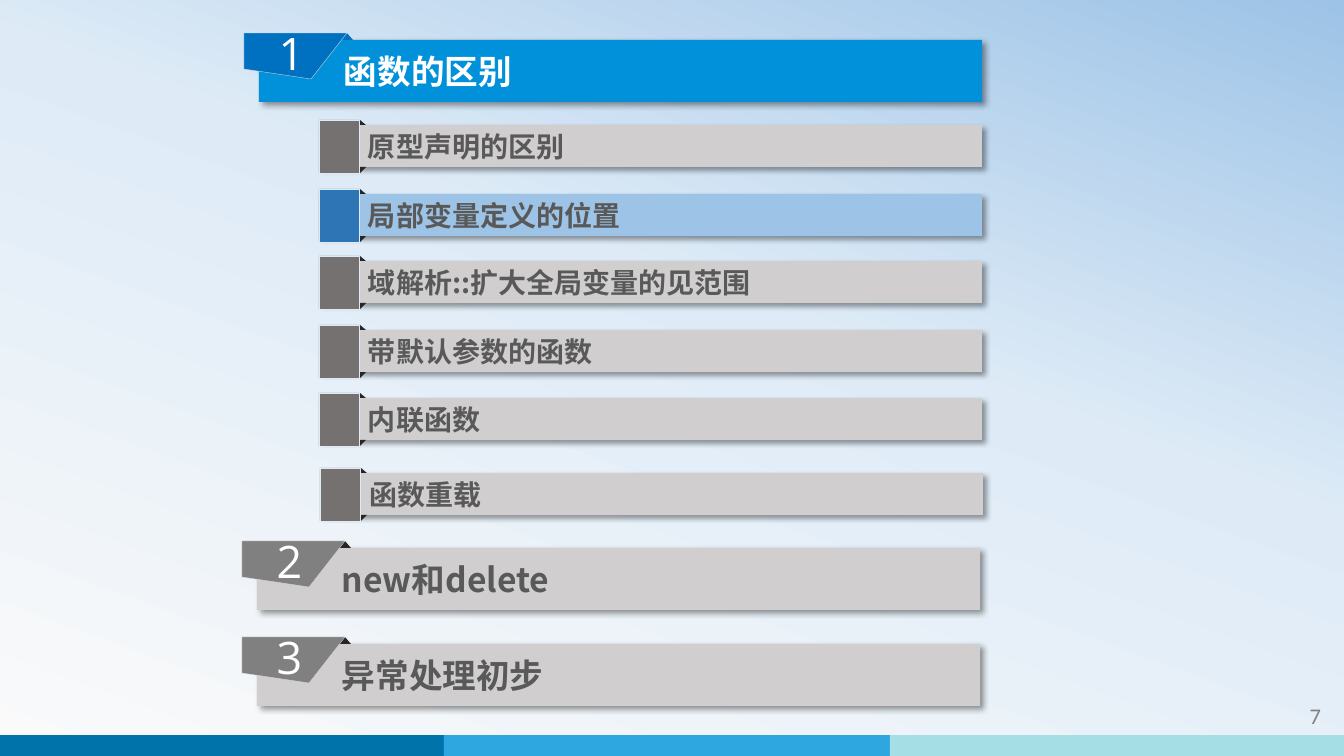
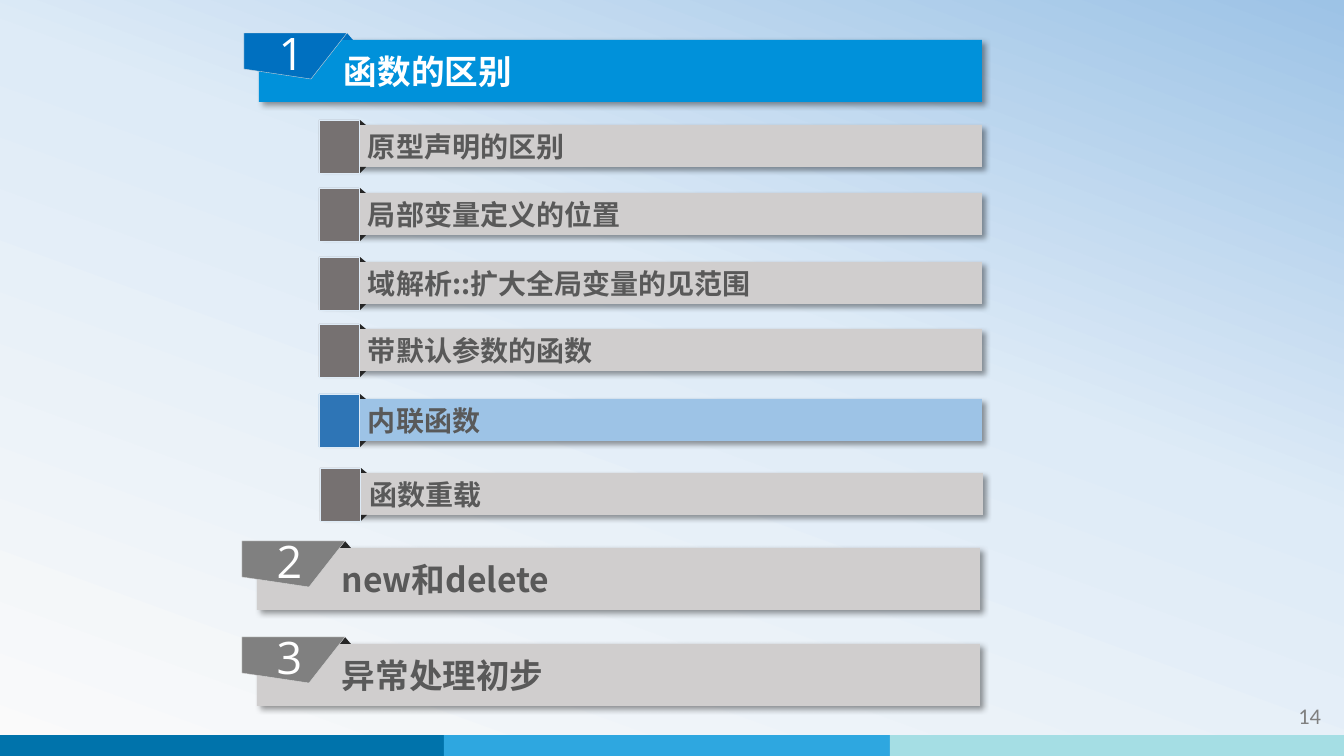
from copy import deepcopy

from lxml.etree import SubElement
from pptx import Presentation
from pptx.dml.color import RGBColor
from pptx.enum.shapes import MSO_SHAPE as SHAPE
from pptx.enum.text import MSO_ANCHOR as ANCHOR, PP_ALIGN as ALIGN
from pptx.oxml.ns import qn
from pptx.util import Pt

PX = 914400 / 100.8
WIDTH, HEIGHT = 1344, 756

# Shared style
CJK, NUMERAL, FOOTER = "Noto Sans CJK SC", "Open Sans", "Calibri"
WHITE, INK, FOLD, BAR_GRAY = "FFFFFF", "595959", "262626", "D0CECE"
BACKGROUND = [(0, "FAFAFA"), (0.58, "DEEBF7"), (1, "9DC3E6")]
BANDS = [(-3, "0073AB"), (444, "2EA7E0"), (890, "A5DEE4")]

# Bar, fold, tag and text colours of a chapter
CURRENT = ("0091DA", "0070C0", "0070C0", WHITE)
WAITING = (BAR_GRAY, FOLD, "808080", INK)
CHAPTERS = [
    (244, 33, "函数的区别", CURRENT),
    (242, 541, "new和delete", WAITING),
    (242, 637, "异常处理初步", WAITING),
]
TOPICS = ["原型声明的区别", "局部变量定义的位置", "域解析::扩大全局变量的见范围",
          "带默认参数的函数", "内联函数", "函数重载"]

# Page number, highlighted topic, top of each topic
AGENDAS = [
    (7, 1, [120, 189, 256, 325, 393, 468]),
    (14, 4, [120, 188, 257, 324, 394, 468]),
]


def px(length):
    return round(length * PX)


def rgb(code):
    return RGBColor.from_string(code)


def paint(shape, fill, line=None):
    shape.shadow.inherit = False
    shape.fill.solid()
    shape.fill.fore_color.rgb = rgb(fill)
    if line:
        shape.line.color.rgb = rgb(line)
        shape.line.width = Pt(0.25)
    else:
        shape.line.fill.background()
    return shape


def block(shapes, kind, x, y, w, h, fill, line=None):
    return paint(shapes.add_shape(kind, px(x), px(y), px(w), px(h)), fill, line)


def cast_shadow(shape):
    effects = shape.element.spPr.find(qn("a:effectLst"))
    shadow = SubElement(effects, qn("a:outerShdw"), blurRad="50800", dist="38100",
                        dir="2700000", algn="tl", rotWithShape="0")
    black = SubElement(shadow, qn("a:srgbClr"), val="000000")
    SubElement(black, qn("a:alpha"), val="40000")


def write(shape, text, font, size, color, align=ALIGN.LEFT, bold=False,
          insets=(10, 5, 10, 5), anchor=ANCHOR.MIDDLE):
    frame = shape.text_frame
    frame.word_wrap = True
    frame.vertical_anchor = anchor
    (frame.margin_left, frame.margin_top,
     frame.margin_right, frame.margin_bottom) = map(px, insets)
    paragraph = frame.paragraphs[0]
    paragraph.alignment = align
    run = paragraph.add_run()
    run.text = text
    run.font.name = font
    run.font.size = Pt(size)
    run.font.bold = bold
    run.font.color.rgb = rgb(color)
    SubElement(run.font._element, qn("a:ea"), typeface=font)


def title_bar(shapes, x, y, w, h, fill, text, size, color, indent):
    bar = block(shapes, SHAPE.RECTANGLE, x, y, w, h, fill)
    cast_shadow(bar)
    write(bar, text, CJK, size, color, bold=True, insets=(indent, 5, 10, 5))


def add_background(slide):
    fill = slide.background.fill
    fill.gradient()
    fill.gradient_angle = 70  # counter-clockwise
    stops = slide.element.find(".//" + qn("a:gsLst"))
    stops.append(deepcopy(stops[-1]))
    for stop, (position, color) in zip(fill.gradient_stops, BACKGROUND):
        stop.position = position
        stop.color.rgb = rgb(color)


def add_footer(slide, page):
    bands = slide.shapes.add_group_shape().shapes
    for x, color in BANDS:
        block(bands, SHAPE.RECTANGLE, x, 735, 454, 21, color)
    number = slide.shapes.add_textbox(px(1171), px(697), px(160), px(40))
    write(number, str(page), FOOTER, 16, "808080", ALIGN.RIGHT, anchor=ANCHOR.TOP)


def add_chapter(slide, x, y, number, title, colors):
    bar_fill, fold_fill, tag_fill, ink = colors
    shapes = slide.shapes.add_group_shape().shapes
    title_bar(shapes, x + 15, y + 7, 723, 62, bar_fill, title, 24, ink, 85)
    block(shapes, SHAPE.ISOSCELES_TRIANGLE, x + 97, y, 12, 7, fold_fill)
    # Slanted number tag
    outline = shapes.build_freeform(x, y, scale=PX)
    outline.add_line_segments([(x + 103, y), (x + 67, y + 46), (x, y + 36)])
    tag = paint(outline.convert_to_shape(), tag_fill, "D9D9D9")
    write(tag, str(number), NUMERAL, 32, WHITE, ALIGN.CENTER, insets=(9, 4, 17, 10))


def add_topic(slide, x, y, title, active):
    bar_fill, marker_fill = ("9DC3E6", "2E75B6") if active else (BAR_GRAY, "767171")
    shapes = slide.shapes.add_group_shape().shapes
    title_bar(shapes, x + 1, y + 5, 662, 42, bar_fill, title, 20, INK, 48)
    # Folds behind the marker
    block(shapes, SHAPE.ISOSCELES_TRIANGLE, x + 35, y, 12, 5, FOLD)
    block(shapes, SHAPE.ISOSCELES_TRIANGLE, x + 35, y + 47, 12, 6, FOLD).rotation = 180
    block(shapes, SHAPE.RECTANGLE, x, y, 40, 53, marker_fill, "DEEBF7")


def add_agenda(deck, page, active, tops):
    slide = deck.slides.add_slide(deck.slide_layouts[6])
    add_background(slide)
    add_footer(slide, page)
    for index, (title, top) in enumerate(zip(TOPICS, tops)):
        left = 320 if title == TOPICS[-1] else 319
        add_topic(slide, left, top, title, index == active)
    for number, (left, top, title, colors) in enumerate(CHAPTERS, 1):
        add_chapter(slide, left, top, number, title, colors)


deck = Presentation()
deck.slide_width, deck.slide_height = px(WIDTH), px(HEIGHT)
for agenda in AGENDAS:
    add_agenda(deck, *agenda)
deck.save("out.pptx")
